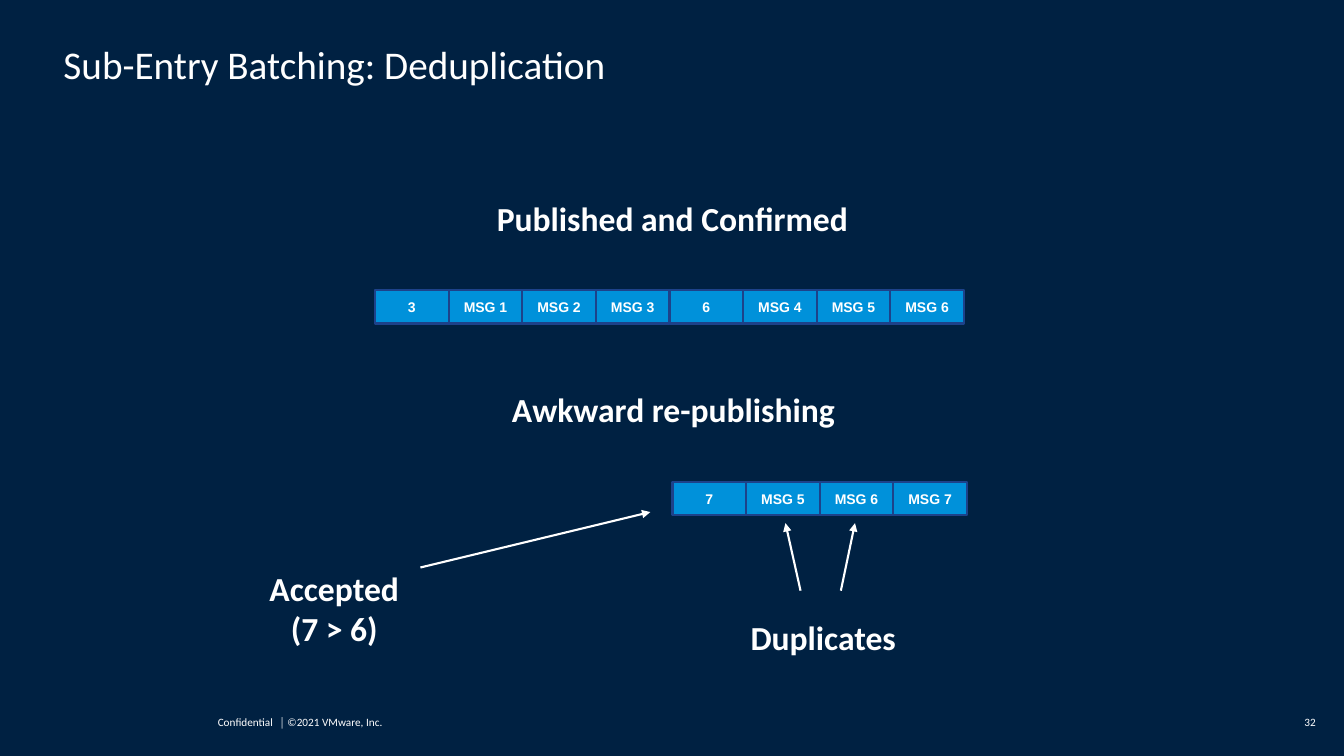
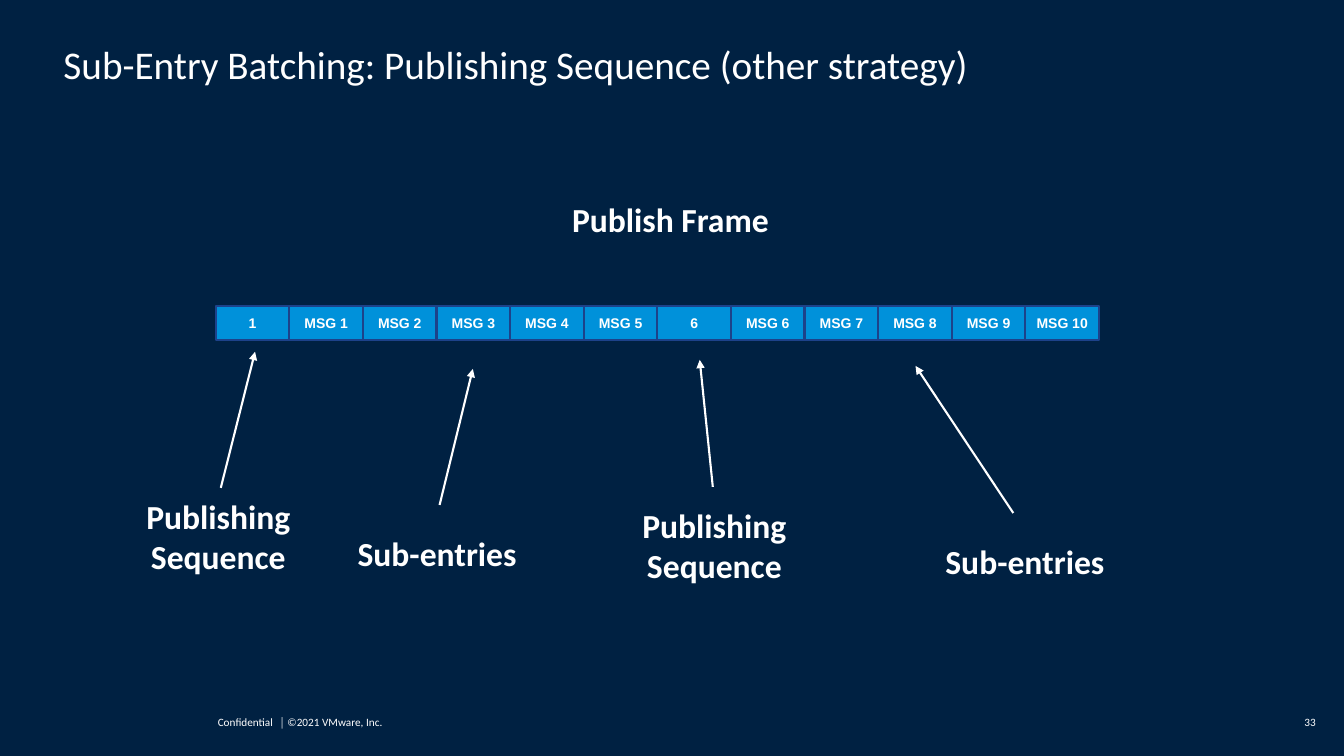
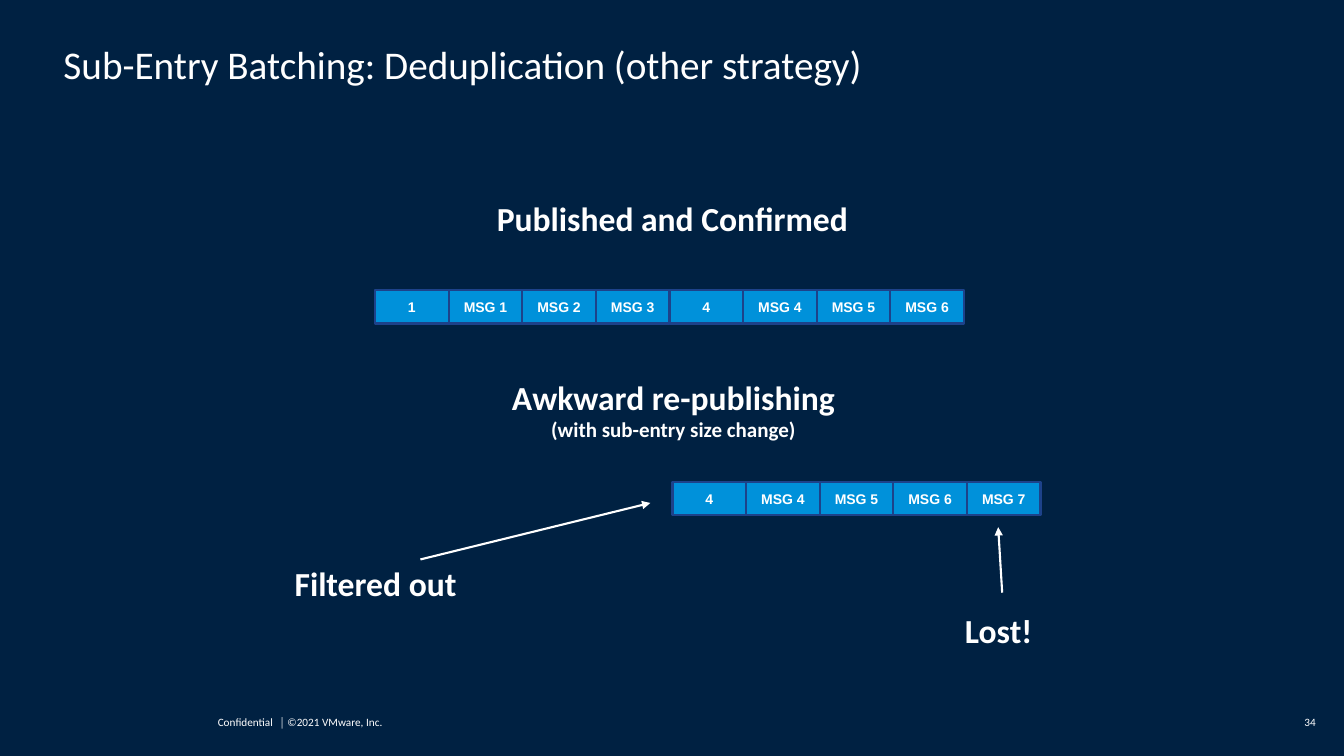
from dataclasses import dataclass

from lxml.etree import SubElement
from pptx import Presentation
from pptx.dml.color import RGBColor
from pptx.enum.shapes import MSO_CONNECTOR as Connector, MSO_SHAPE as Preset
from pptx.enum.text import MSO_ANCHOR as Anchor, PP_ALIGN as Align
from pptx.oxml.ns import qn
from pptx.util import Inches, Pt


@dataclass(frozen=True)
class Theme:
    background: RGBColor = RGBColor(0x00, 0x21, 0x42)
    text: RGBColor = RGBColor(0xFF, 0xFF, 0xFF)
    cell: RGBColor = RGBColor(0x00, 0x91, 0xDA)
    border: RGBColor = RGBColor(0x1D, 0x42, 0x8A)
    body_font: str = "Calibri"
    cell_font: str = "Arial"
    title_size: int = 28
    label_size: int = 24
    detail_size: int = 15
    cell_size: int = 10
    footer_size: int = 8
    stroke: float = 1.5


class Deck:
    cell_width = 0.73
    cell_height = 0.33
    label_height = 0.44
    footer_top = 7.07
    footer_height = 0.2

    def __init__(self, theme):
        self.theme = theme
        self.presentation = Presentation()
        self.presentation.slide_width = Inches(13.33)
        self.presentation.slide_height = Inches(7.5)
        backdrop = self.presentation.slide_master.background.fill
        backdrop.solid()
        backdrop.fore_color.rgb = theme.background
        self.slide = None

    def new_slide(self, title, number):
        theme = self.theme
        self.slide = self.presentation.slides.add_slide(self.presentation.slide_layouts[6])
        self.plain_text((0.63, 0.45, 12.03, 0.42), title, theme.title_size, anchor=Anchor.BOTTOM)
        credit = self.plain_text((2.16, self.footer_top, 1.89, self.footer_height),
                                 "Confidential\t│ ©2021 VMware, Inc.", theme.footer_size)
        tabs = SubElement(credit._p.get_or_add_pPr(), qn("a:tabLst"))
        SubElement(tabs, qn("a:tab"), pos=str(Inches(0.61)), algn="l")
        self.plain_text((12.57, self.footer_top, 0.48, self.footer_height),
                        str(number), theme.footer_size, align=Align.RIGHT)

    def add_run(self, paragraph, text, size, font, bold=False):
        run = paragraph.add_run()
        run.text = text
        run.font.name = font
        run.font.size = Pt(size)
        run.font.bold = bold
        run.font.color.rgb = self.theme.text

    def set_frame(self, frame, inset, anchor):
        frame.word_wrap = True
        frame.vertical_anchor = anchor
        frame.margin_left = frame.margin_right = Inches(inset)
        frame.margin_top = frame.margin_bottom = Inches(inset)

    def plain_text(self, box, text, size, align=Align.LEFT, anchor=Anchor.MIDDLE):
        frame = self.slide.shapes.add_textbox(*map(Inches, box)).text_frame
        self.set_frame(frame, 0, anchor)
        paragraph = frame.paragraphs[0]
        paragraph.alignment = align
        paragraph.line_spacing = 0.9
        self.add_run(paragraph, text, size, self.theme.body_font)
        return paragraph

    def label(self, left, top, *lines, width=2.49, detail=None):
        box = map(Inches, (left, top, width, self.label_height))
        frame = self.slide.shapes.add_textbox(*box).text_frame
        self.set_frame(frame, 0.1, Anchor.MIDDLE)
        sized_lines = [(line, self.theme.label_size) for line in lines]
        if detail:
            sized_lines.append((detail, self.theme.detail_size))
        for index, (line, size) in enumerate(sized_lines):
            paragraph = frame.add_paragraph() if index else frame.paragraphs[0]
            paragraph.alignment = Align.CENTER
            self.add_run(paragraph, line, size, self.theme.body_font, bold=True)

    def cell(self, left, top, text):
        theme = self.theme
        box = map(Inches, (left, top, self.cell_width, self.cell_height))
        cell = self.slide.shapes.add_shape(Preset.RECTANGLE, *box)
        cell.shadow.inherit = False
        cell.fill.solid()
        cell.fill.fore_color.rgb = theme.cell
        cell.line.color.rgb = theme.border
        cell.line.width = Pt(theme.stroke)
        self.set_frame(cell.text_frame, 0.1, Anchor.MIDDLE)
        paragraph = cell.text_frame.paragraphs[0]
        paragraph.alignment = Align.CENTER
        self.add_run(paragraph, text, theme.cell_size, theme.cell_font, bold=True)

    def message_row(self, left, top, *batches):
        texts = []
        for sequence, first, last in batches:
            texts.append(str(sequence))
            texts.extend(f"MSG {message}" for message in range(first, last + 1))
        for column, text in enumerate(texts):
            self.cell(left + column * self.cell_width, top, text)

    def arrow(self, start, end):
        arrow = self.slide.shapes.add_connector(Connector.STRAIGHT, *map(Inches, start + end))
        arrow.line.color.rgb = self.theme.text
        arrow.line.width = Pt(self.theme.stroke)
        SubElement(arrow.line._get_or_add_ln(), qn("a:tailEnd"), type="triangle")
        SubElement(arrow._element.spPr, qn("a:effectLst"))

    def republishing(self, published, republished, detail=None):
        self.label(4.4, 1.94, "Published and Confirmed", width=4.54)
        self.message_row(3.72, 2.88, *published)
        self.label(4.41, 3.84, "Awkward re-publishing", width=4.54, detail=detail)
        self.message_row(6.67, 4.78, republished)


def main():
    deck = Deck(Theme())

    deck.new_slide("Sub-Entry Batching: Deduplication", 32)
    deck.republishing([(3, 1, 3), (6, 4, 6)], (7, 5, 7))
    deck.label(2.07, 5.81, "Accepted", "(7 > 6)")
    deck.arrow((4.17, 5.63), (6.45, 5.08))
    deck.arrow((7.94, 5.86), (7.79, 5.19))
    deck.arrow((8.34, 5.86), (8.48, 5.19))
    deck.label(6.92, 6.1, "Duplicates")

    deck.new_slide("Sub-Entry Batching: Publishing Sequence (other strategy)", 33)
    deck.label(5.29, 1.95, "Publish Frame", width=2.72)
    deck.message_row(2.14, 3.04, (1, 1, 5), (6, 6, 10))
    for left, top, text, start, end in [
        (0.92, 5.1, "Publishing Sequence", (2.19, 4.84), (2.53, 3.49)),
        (3.09, 5.27, "Sub-entries", (4.36, 5.01), (4.69, 3.66)),
        (5.84, 5.19, "Publishing Sequence", (7.07, 4.83), (6.94, 3.57)),
        (8.92, 5.35, "Sub-entries", (10.05, 5.09), (9.08, 3.63)),
    ]:
        deck.label(left, top, text)
        deck.arrow(start, end)

    deck.new_slide("Sub-Entry Batching: Deduplication (other strategy)", 34)
    deck.republishing([(1, 1, 3), (4, 4, 6)], (4, 4, 7), "(with sub-entry size change)")
    deck.label(2.48, 5.56, "Filtered out")
    deck.arrow((4.17, 5.55), (6.45, 4.99))
    deck.arrow((9.94, 5.88), (9.9, 5.23))
    deck.label(8.66, 6.03, "Lost!")

    deck.presentation.save("out.pptx")


if __name__ == "__main__":
    main()
